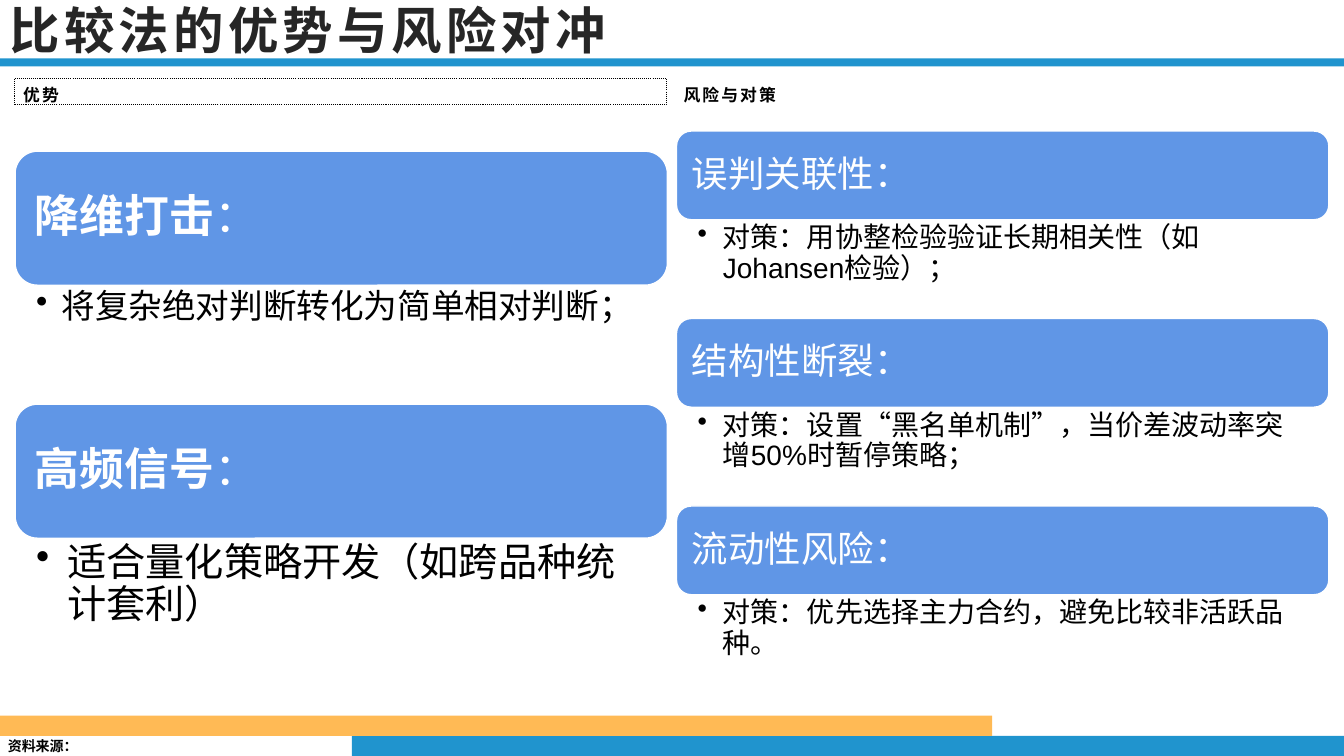
from lxml import etree
from pptx import Presentation
from pptx.dml.color import RGBColor
from pptx.enum.dml import MSO_LINE
from pptx.enum.shapes import MSO_SHAPE
from pptx.enum.text import MSO_ANCHOR, PP_ALIGN
from pptx.oxml.ns import qn
from pptx.util import Inches, Pt

BLACK = RGBColor(0x00, 0x00, 0x00)
WHITE = RGBColor(0xFF, 0xFF, 0xFF)
CHARCOAL = RGBColor(0x26, 0x26, 0x26)
CARD_BLUE = RGBColor(0x60, 0x96, 0xE6)
BAR_BLUE = RGBColor(0x20, 0x94, 0xCE)
BAR_ORANGE = RGBColor(0xFF, 0xBA, 0x55)
LATIN, CJK = "Arial", "Noto Sans CJK SC"

TITLE = "比较法的优势与风险对冲"
SOURCE = "资料来源："
BARS = [
    (3.49, 7.3, 9.84, 0.2, BAR_BLUE),
    (0, 7.1, 9.84, 0.2, BAR_ORANGE),
    (0, 0.58, 13.33, 0.08, BAR_BLUE),
]
# items: heading, detail, detail size, detail indent, detail height
COLUMNS = [
    {
        "label": "优势", "label_left": 0.14, "dotted": True,
        "left": 0.15, "top": 1.5, "card_height": 1.33,
        "heading_size": 32, "heading_bold": True, "inset": 0.13,
        "items": [
            ("降维打击", "将复杂绝对判断转化为简单相对判断；", 24, 0.25, 1.18),
            ("高频信号", "适合量化策略开发（如跨品种统计套利）", 28, 0.31, 1.32),
        ],
    },
    {
        "label": "风险与对策", "label_left": 6.69, "dotted": False,
        "left": 6.71, "top": 1.3, "card_height": 0.88,
        "heading_size": 26, "heading_bold": False, "inset": 0.11,
        "items": [
            ("误判关联性", "对策：用协整检验验证长期相关性（如Johansen检验）；", 20, 0.25, 0.98),
            ("结构性断裂", "对策：设置“黑名单机制”，当价差波动率突增50%时暂停策略；", 20, 0.25, 0.98),
            ("流动性风险", "对策：优先选择主力合约，避免比较非活跃品种。", 20, 0.25, 0.98),
        ],
    },
]
COLUMN_WIDTH = 6.47


def add_box(slide, kind, left, top, width, height, fill, line=None):
    shape = slide.shapes.add_shape(
        kind, Inches(left), Inches(top), Inches(width), Inches(height))
    shape.shadow.inherit = False
    shape.fill.solid()
    shape.fill.fore_color.rgb = fill
    if line is None:
        shape.line.fill.background()
    else:
        shape.line.color.rgb = line
    return shape


def add_text_box(slide, left, top, width, height):
    return slide.shapes.add_textbox(
        Inches(left), Inches(top), Inches(width), Inches(height))


def write(shape, runs, size, color, font=LATIN, bold=None, insets=(0.1, 0.05, 0.1, 0.05),
          anchor=MSO_ANCHOR.MIDDLE, line_spacing=None, space_after=None,
          letter_spacing=0, bullet_indent=None):
    """Fill the shape with one paragraph; each run is (text, bold or None)."""
    frame = shape.text_frame
    frame.word_wrap = True
    frame.vertical_anchor = anchor
    (frame.margin_left, frame.margin_top,
     frame.margin_right, frame.margin_bottom) = map(Inches, insets)
    paragraph = frame.paragraphs[0]
    paragraph.alignment = PP_ALIGN.LEFT
    if line_spacing:
        paragraph.line_spacing = line_spacing
    if space_after:
        paragraph.space_after = Pt(space_after)
    properties = paragraph._p.get_or_add_pPr()
    if bullet_indent:
        paragraph.level = 1
        properties.set("marL", str(Inches(bullet_indent)))
        properties.set("indent", str(-Inches(bullet_indent)))
        etree.SubElement(properties, qn("a:buChar"), char="•")
    paragraph.font.size = Pt(size)
    paragraph.font.bold = bold
    paragraph.font.color.rgb = color
    paragraph.font.name = font
    defaults = properties.find(qn("a:defRPr"))
    etree.SubElement(defaults, qn("a:ea"), typeface=CJK)
    if letter_spacing:
        defaults.set("spc", str(int(letter_spacing * 100)))
    for text, run_bold in runs:
        run = paragraph.add_run()
        run.text = text
        if run_bold is not None:
            run.font.bold = run_bold


def add_column(slide, column):
    top, inset, size = column["top"], column["inset"], column["heading_size"]
    for heading, detail, detail_size, indent, detail_height in column["items"]:
        card = add_box(slide, MSO_SHAPE.ROUNDED_RECTANGLE, column["left"], top,
                       COLUMN_WIDTH, column["card_height"], CARD_BLUE, WHITE)
        card.line.width = Pt(1)
        if column["heading_bold"]:
            runs = [(heading, True), ("：", False)]
        else:
            runs = [(heading + "：", None)]
        write(card, runs, size, WHITE, insets=(inset,) * 4,
              line_spacing=0.9, space_after=size * 0.35)
        top += column["card_height"]
        body = add_text_box(slide, column["left"], top, COLUMN_WIDTH, detail_height)
        write(body, [(detail, None)], detail_size, BLACK, insets=(0.21, 0.04, 0.2, 0.04),
              anchor=MSO_ANCHOR.TOP, line_spacing=0.9,
              space_after=detail_size * 0.2, bullet_indent=indent)
        top += detail_height

    label = add_box(slide, MSO_SHAPE.RECTANGLE, column["label_left"], 0.78,
                    COLUMN_WIDTH, 0.26, WHITE, BLACK if column["dotted"] else None)
    if column["dotted"]:
        label.line.width = Pt(0.75)
        label.line.dash_style = MSO_LINE.ROUND_DOT
    write(label, [(column["label"], None)], 12, BLACK, CJK, True,
          insets=(0.09, 0.04, 0.09, 0.04), line_spacing=1.3, space_after=10,
          letter_spacing=1.5)


def main():
    presentation = Presentation()
    presentation.slide_width = Inches(13.33)
    presentation.slide_height = Inches(7.5)
    slide = presentation.slides.add_slide(presentation.slide_layouts[6])

    for left, top, width, height, color in BARS:
        add_box(slide, MSO_SHAPE.RECTANGLE, left, top, width, height, color)
    source = add_text_box(slide, -0.02, 7.27, 0.9, 0.27)
    write(source, [(SOURCE, None)], 10, BLACK, CJK, True, insets=(0.1, 0.05, 0, 0.05))
    title = add_text_box(slide, 0, 0, 11.44, 0.58)
    write(title, [(TITLE, None)], 36, CHARCOAL, CJK, True, letter_spacing=3)
    for column in COLUMNS:
        add_column(slide, column)

    presentation.save("out.pptx")


if __name__ == "__main__":
    main()
